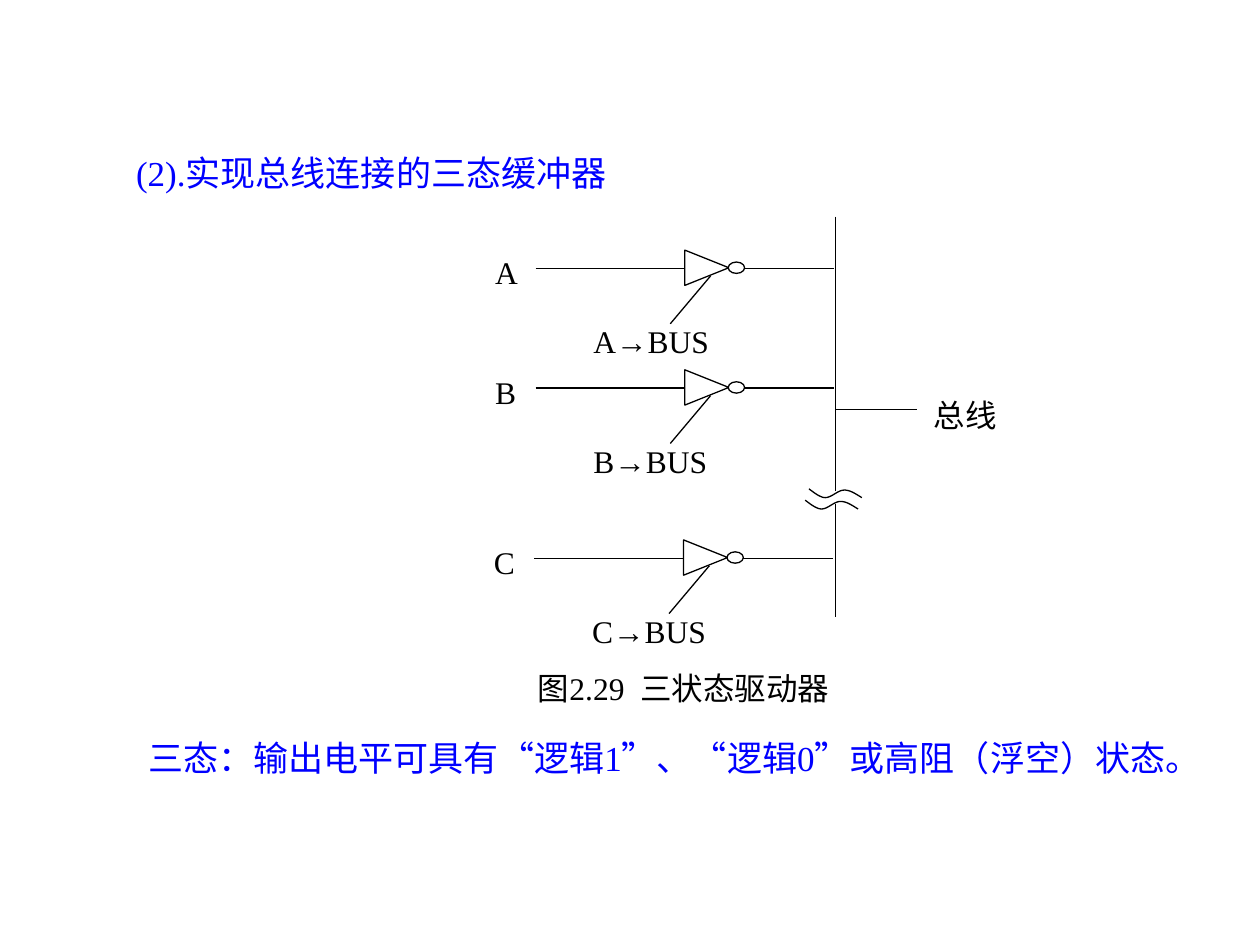
from pptx import Presentation
from pptx.dml.color import RGBColor
from pptx.enum.lang import MSO_LANGUAGE_ID
from pptx.enum.shapes import MSO_CONNECTOR, MSO_SHAPE
from pptx.enum.text import MSO_ANCHOR, PP_ALIGN
from pptx.oxml.ns import qn
from pptx.util import Inches, Pt
from lxml.etree import SubElement

COLORS = {"ink": "000000", "accent": "0000FF", "paper": "FFFFFF"}
SERIF, SANS = "Times New Roman", "Arial"
BUS_X = 6.63


def rgb(name):
    return RGBColor.from_string(COLORS[name])


def write(tf, *runs, size=18, color="ink", align=PP_ALIGN.LEFT, inset=(0, 0)):
    """Fill a text frame with one paragraph; a run is a text or a (text, font) pair."""
    tf.word_wrap = True
    tf.vertical_anchor = MSO_ANCHOR.TOP
    tf.margin_left = tf.margin_right = Inches(inset[0])
    tf.margin_top = tf.margin_bottom = Inches(inset[1])
    p = tf.paragraphs[0]
    p.alignment = align
    for run in runs:
        text, font = (run, SERIF) if isinstance(run, str) else run
        r = p.add_run()
        r.text = text
        r.font.name, r.font.size = font, Pt(size)
        r.font.color.rgb = rgb(color)
        r.font.language_id = MSO_LANGUAGE_ID.SIMPLIFIED_CHINESE


def bezier(start, *curves, steps=12):
    """Return points along joined cubic curves."""
    points = [start]
    for c1, c2, end in curves:
        p0 = points[-1]
        for i in range(1, steps + 1):
            t = i / steps
            u = 1 - t
            points.append(tuple(
                u**3 * a + 3 * u * u * t * b + 3 * u * t * t * c + t**3 * d
                for a, b, c, d in zip(p0, c1, c2, end)))
    return points


class Diagram:
    def __init__(self, prs):
        self.s = prs.slides.add_slide(prs.slide_layouts[5])
        self.line_width = Pt(0.75)

    def title(self, text, x, y, w, h):
        sp = self.s.shapes.title
        sp.left, sp.top, sp.width, sp.height = map(Inches, (x, y, w, h))
        write(sp.text_frame, text, size=20, color="accent", inset=(0.1, 0.05))

    def text(self, *runs, at, **fmt):
        tb = self.s.shapes.add_textbox(*map(Inches, at))
        write(tb.text_frame, *runs, **fmt)

    def outline(self, sp):
        sp.line.color.rgb = rgb("ink")
        sp.line.width = self.line_width

    def line(self, x1, y1, x2, y2):
        cn = self.s.shapes.add_connector(
            MSO_CONNECTOR.STRAIGHT, *map(Inches, (x1, y1, x2, y2)))
        self.outline(cn)
        SubElement(cn._element.spPr, qn("a:effectLst"))

    def shape(self, kind, x, y, w, h, rotation=0):
        sp = self.s.shapes.add_shape(kind, *map(Inches, (x, y, w, h)))
        sp.shadow.inherit = False
        sp.rotation = rotation
        sp.fill.solid()
        sp.fill.fore_color.rgb = rgb("paper")
        self.outline(sp)

    def wave(self, x, y):
        """Draw one stroke of the break in the bus."""
        points = bezier((0, 0),
                        ((0.04, 0.03), (0.09, 0.07), (0.13, 0.07)),
                        ((0.18, 0.07), (0.23, 0.01), (0.28, 0.01)),
                        ((0.33, 0.01), (0.37, 0.04), (0.42, 0.07)))
        points = [(Inches(x + dx), Inches(y + dy)) for dx, dy in points]
        fb = self.s.shapes.build_freeform(*points[0])
        fb.add_line_segments(points[1:], close=False)
        sp = fb.convert_to_shape()
        sp.shadow.inherit = False
        sp.fill.background()
        self.outline(sp)

    def buffer(self, name, x, y):
        """Draw a tri-state buffer; x, y is the left end of its input wire."""
        self.text(name, at=(x - 0.32, y - 0.12, 0.22, 0.23))
        self.shape(MSO_SHAPE.ISOSCELES_TRIANGLE, x + 1.22, y - 0.18, 0.28, 0.35, 90)
        self.shape(MSO_SHAPE.OVAL, x + 1.53, y - 0.05, 0.13, 0.09)
        self.line(x + 1.66, y, x + 2.37, y)
        self.line(x, y, x + 1.19, y)
        self.line(x + 1.07, y + 0.44, x + 1.39, y + 0.06)
        self.text(f"{name}→BUS", at=(x + 0.46, y + 0.43, 1.1, 0.23))


def main():
    prs = Presentation()
    prs.slide_width, prs.slide_height = Inches(10), Inches(7.5)
    d = Diagram(prs)

    d.title("(2).实现总线连接的三态缓冲器", 0.98, 1.15, 6.65, 0.5)
    d.text("三态：输出电平可具有", ("“", SANS), "逻辑1", ("”", SANS),
           "、“逻辑0", ("”", SANS), "或高阻（浮空）状态。",
           at=(1.08, 5.8, 8.56, 0.5), size=20, color="accent", inset=(0.1, 0.05))
    d.text("图2.29  三状态驱动器", at=(4.27, 5.31, 3.47, 0.41))
    d.text("总线", at=(7.41, 3.14, 0.6, 0.21))

    for name, x, y in (("A", 4.25, 2.13), ("B", 4.25, 3.08), ("C", 4.24, 4.43)):
        d.buffer(name, x, y)

    d.line(BUS_X, 1.72, BUS_X, 3.9)
    d.line(BUS_X, 4, BUS_X, 4.9)
    d.line(BUS_X, 3.25, BUS_X + 0.65, 3.25)
    d.wave(6.42, 3.88)
    d.wave(6.39, 3.97)

    prs.save("out.pptx")


if __name__ == "__main__":
    main()
